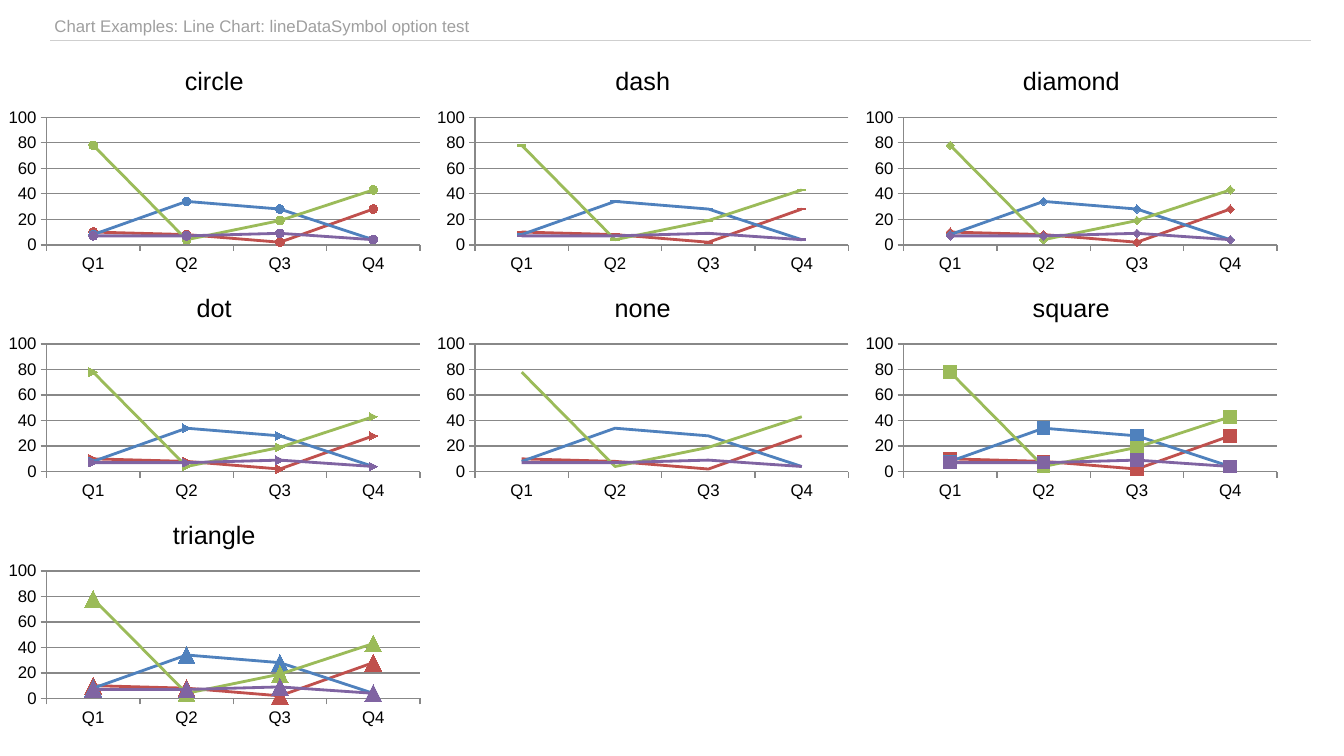
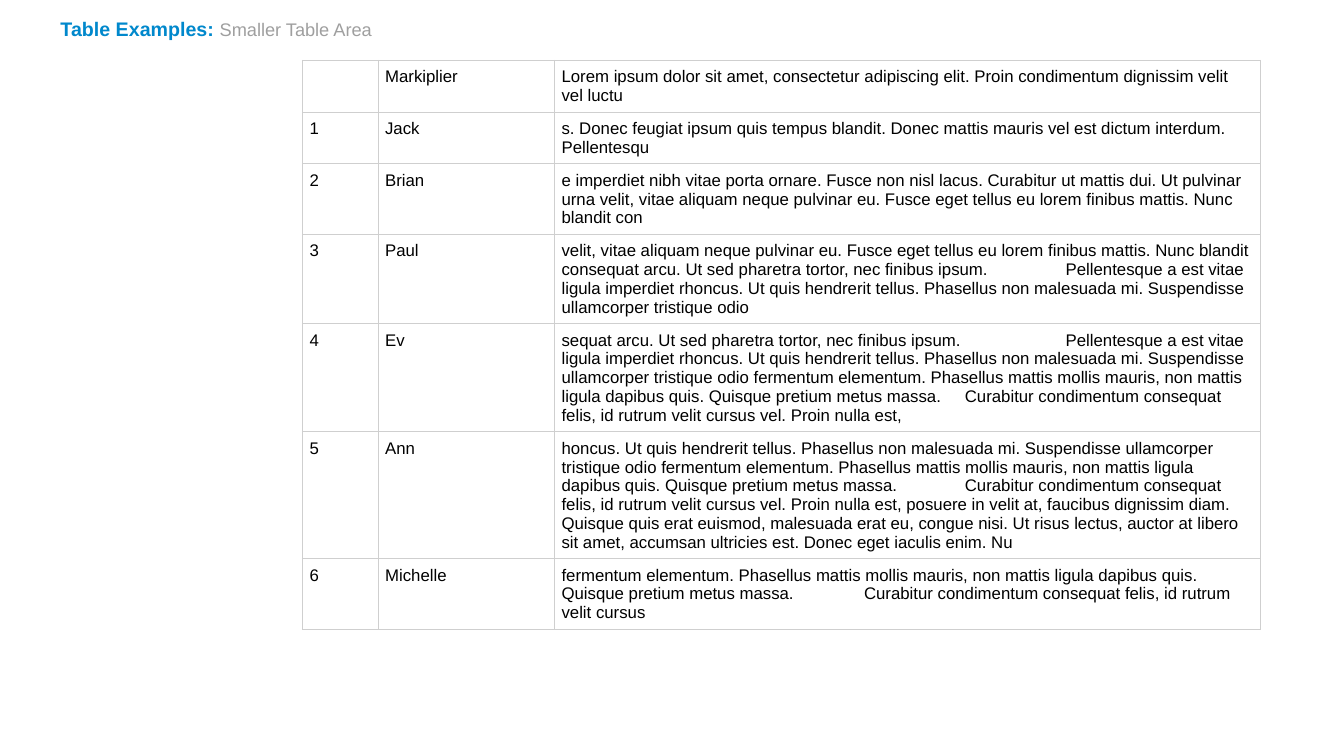
"""Builds a line chart marker gallery and a compact table slide."""
from lxml import etree
from pptx import Presentation
from pptx.chart.data import CategoryChartData
from pptx.dml.color import RGBColor
from pptx.enum import chart as charts, text
from pptx.oxml import ns
from pptx.util import Inches, Pt

FONT = "Arial"
BLACK = RGBColor(0x00, 0x00, 0x00)
TITLE_BLUE = RGBColor(0x00, 0x88, 0xCC)
TITLE_GRAY = RGBColor(0x9F, 0x9F, 0x9F)
RULE_GRAY = RGBColor(0xCF, 0xCF, 0xCF)
AXIS_GRAY = RGBColor(0x88, 0x88, 0x88)

TITLE_ONLY, BLANK = 5, 6
TITLE_LEFT, TITLE_TOP = 0.5, 0.13
BORDER_SIDES = ("lnL", "lnR", "lnT", "lnB")

QUARTERS = ["Q1", "Q2", "Q3", "Q4"]
SERIES = [
    ("Series 1", [10, 8, 2, 28], RGBColor(0xC0, 0x50, 0x4D)),
    ("Series 2", [8, 34, 28, 4], RGBColor(0x4F, 0x81, 0xBD)),
    ("Series 3", [78, 4, 19, 43], RGBColor(0x9B, 0xBB, 0x59)),
    ("Series 4", [7, 7, 9, 4], RGBColor(0x80, 0x64, 0xA2)),
]
MARKERS = [
    ("circle", charts.XL_MARKER_STYLE.CIRCLE, 6),
    ("dash", charts.XL_MARKER_STYLE.DASH, 6),
    ("diamond", charts.XL_MARKER_STYLE.DIAMOND, 6),
    ("dot", charts.XL_MARKER_STYLE.DOT, 6),
    ("none", charts.XL_MARKER_STYLE.NONE, 6),
    ("square", charts.XL_MARKER_STYLE.SQUARE, 9),
    ("triangle", charts.XL_MARKER_STYLE.TRIANGLE, 12),
]
GRID_COLUMNS = 3
CHART_WIDTH, CHART_HEIGHT, CHART_TOP = 4.25, 2.25, 0.5

HEADING = [(0.27, "Chart Examples: Line Chart: lineDataSymbol option test")]
COLUMN_WIDTHS = [0.75, 1.75, 7]
TABLE_ROWS = [
    (0.51, "", "Markiplier",
     "Lorem ipsum dolor sit amet, consectetur adipiscing elit. Proin condimentum "
     "dignissim velit vel luctu"),
    (0.51, "1", "Jack",
     "s. Donec feugiat ipsum quis tempus blandit. Donec mattis mauris vel est dictum "
     "interdum. Pellentesqu"),
    (0.69, "2", "Brian",
     "e imperdiet nibh vitae porta ornare. Fusce non nisl lacus. Curabitur ut mattis dui. "
     "Ut pulvinar urna velit, vitae aliquam neque pulvinar eu. Fusce eget tellus eu lorem "
     "finibus mattis. Nunc blandit con"),
    (0.87, "3", "Paul",
     "velit, vitae aliquam neque pulvinar eu. Fusce eget tellus eu lorem finibus mattis. "
     "Nunc blandit consequat arcu. Ut sed pharetra tortor, nec finibus ipsum. "
     "\tPellentesque a est vitae ligula imperdiet rhoncus. Ut quis hendrerit tellus. "
     "Phasellus non malesuada mi. Suspendisse ullamcorper tristique odio"),
    (1.06, "4", "Ev",
     "sequat arcu. Ut sed pharetra tortor, nec finibus ipsum. \tPellentesque a est vitae "
     "ligula imperdiet rhoncus. Ut quis hendrerit tellus. Phasellus non malesuada mi. "
     "Suspendisse ullamcorper tristique odio fermentum elementum. Phasellus mattis mollis "
     "mauris, non mattis ligula dapibus quis. Quisque pretium metus massa. \tCurabitur "
     "condimentum consequat felis, id rutrum velit cursus vel. Proin nulla est,"),
    (1.25, "5", "Ann",
     "honcus. Ut quis hendrerit tellus. Phasellus non malesuada mi. Suspendisse "
     "ullamcorper tristique odio fermentum elementum. Phasellus mattis mollis mauris, non "
     "mattis ligula dapibus quis. Quisque pretium metus massa. \tCurabitur condimentum "
     "consequat felis, id rutrum velit cursus vel. Proin nulla est, posuere in velit at, "
     "faucibus dignissim diam. Quisque quis erat euismod, malesuada erat eu, congue nisi. "
     "Ut risus lectus, auctor at libero sit amet, accumsan ultricies est. Donec eget "
     "iaculis enim. Nu"),
    (0.69, "6", "Michelle",
     "fermentum elementum. Phasellus mattis mollis mauris, non mattis ligula dapibus quis. "
     "Quisque pretium metus massa. \tCurabitur condimentum consequat felis, id rutrum "
     "velit cursus"),
]


def style_font(font, size, color, bold=False):
    """Apply the common typeface with a size, colour and weight."""
    font.name = FONT
    font.size = Pt(size)
    font.bold = bold
    font.color.rgb = color


def add_run(paragraph, content, size, color, bold=False):
    """Append one formatted run."""
    run = paragraph.add_run()
    run.text = content
    style_font(run.font, size, color, bold)


def fill_title(slide, runs):
    """Move the title placeholder into place and write its runs."""
    title = slide.shapes.title
    title.left, title.top = Inches(TITLE_LEFT), Inches(TITLE_TOP)
    title.width, title.height = Inches(12), Inches(0.3)
    frame = title.text_frame
    frame.auto_size = text.MSO_AUTO_SIZE.NONE
    frame.word_wrap = True
    frame.vertical_anchor = text.MSO_ANCHOR.MIDDLE
    paragraph = frame.paragraphs[0]
    paragraph.alignment = text.PP_ALIGN.LEFT
    for run in runs:
        add_run(paragraph, *run)


def style_line(line, color, width):
    """Set the colour and width of a line."""
    line.color.rgb = color
    line.width = Pt(width)


def style_axis(axis):
    """Format the labels, ticks and line of an axis."""
    axis.major_tick_mark = charts.XL_TICK_MARK.OUTSIDE
    axis.minor_tick_mark = charts.XL_TICK_MARK.NONE
    style_font(axis.tick_labels.font, 12, BLACK)
    style_line(axis.format.line, AXIS_GRAY, 1)


def add_line_chart(slide, left, top, name, marker_style, marker_size):
    """Add a titled line chart that uses one marker style."""
    data = CategoryChartData()
    data.categories = QUARTERS
    for label, values, _ in SERIES:
        data.add_series(label, values)
    chart = slide.shapes.add_chart(
        charts.XL_CHART_TYPE.LINE_MARKERS, Inches(left), Inches(top),
        Inches(CHART_WIDTH), Inches(CHART_HEIGHT), data).chart
    style_font(chart.font, 10, BLACK)
    chart.has_legend = False
    chart.has_title = True
    chart.chart_title.include_in_layout = False
    add_run(chart.chart_title.text_frame.paragraphs[0], name, 18, BLACK)
    style_axis(chart.category_axis)
    style_axis(chart.value_axis)
    chart.value_axis.has_major_gridlines = True
    style_line(chart.value_axis.major_gridlines.format.line, AXIS_GRAY, 1)
    plot = chart.plots[0]
    plot.vary_by_categories = False
    for series, (_, _, color) in zip(plot.series, SERIES):
        series.smooth = False
        style_line(series.format.line, color, 2)
        series.marker.style = marker_style
        series.marker.size = marker_size
        series.marker.format.fill.solid()
        series.marker.format.fill.fore_color.rgb = color
        series.marker.format.line.color.rgb = color


def add_borders(cell, visible_sides):
    """Draw thin gray borders on the visible sides and clear the others."""
    properties = cell._tc.get_or_add_tcPr()
    for index, side in enumerate(BORDER_SIDES):
        border = etree.Element(ns.qn(f"a:{side}"), w=str(Pt(1)))
        if side in visible_sides:
            fill = etree.SubElement(border, ns.qn("a:solidFill"))
            etree.SubElement(fill, ns.qn("a:srgbClr"), val=str(RULE_GRAY))
        else:
            etree.SubElement(border, ns.qn("a:noFill"))
        properties.insert(index, border)


def add_tab_stops(paragraph, count):
    """Place left tab stops one inch apart."""
    tabs = etree.SubElement(paragraph._p.get_or_add_pPr(), ns.qn("a:tabLst"))
    for inch in range(1, count + 1):
        etree.SubElement(tabs, ns.qn("a:tab"), pos=str(Inches(inch)), algn="l")


def fill_cell(cell, content, color, margin, visible_sides):
    """Write and format one table cell."""
    cell.margin_left = cell.margin_right = Inches(margin)
    cell.margin_top = cell.margin_bottom = Inches(margin)
    cell.fill.background()
    add_borders(cell, visible_sides)
    paragraph = cell.text_frame.paragraphs[0]
    if "\t" in content:
        add_tab_stops(paragraph, 6)
    if content:
        add_run(paragraph, content, 12, color)


def add_text_table(slide, left, top, widths, rows, color, margin, visible_sides):
    """Add a plain table whose rows start with their height."""
    height = sum(row[0] for row in rows)
    table = slide.shapes.add_table(
        len(rows), len(widths), Inches(left), Inches(top),
        Inches(sum(widths)), Inches(height)).table
    table.first_row = table.horz_banding = False
    for column, width in zip(table.columns, widths):
        column.width = Inches(width)
    for row, (row_height, *contents) in zip(table.rows, rows):
        row.height = Inches(row_height)
        for cell, content in zip(row.cells, contents):
            fill_cell(cell, content, color, margin, visible_sides)


def main():
    """Build and save the presentation."""
    presentation = Presentation()
    presentation.slide_width, presentation.slide_height = Inches(13.33), Inches(7.5)
    layouts = presentation.slide_layouts

    chart_slide = presentation.slides.add_slide(layouts[BLANK])
    add_text_table(chart_slide, TITLE_LEFT, TITLE_TOP, [12.5], HEADING,
                   TITLE_GRAY, 0.04, ("lnB",))
    for index, marker in enumerate(MARKERS):
        row, column = divmod(index, GRID_COLUMNS)
        add_line_chart(chart_slide, column * CHART_WIDTH,
                       CHART_TOP + row * CHART_HEIGHT, *marker)

    table_slide = presentation.slides.add_slide(layouts[TITLE_ONLY])
    fill_title(table_slide, [("Table Examples: ", 14, TITLE_BLUE, True),
                             ("Smaller Table Area", 13, TITLE_GRAY)])
    add_text_table(table_slide, 3, 0.6, COLUMN_WIDTHS, TABLE_ROWS,
                   BLACK, 0.07, BORDER_SIDES)

    presentation.save("out.pptx")


if __name__ == "__main__":
    main()
